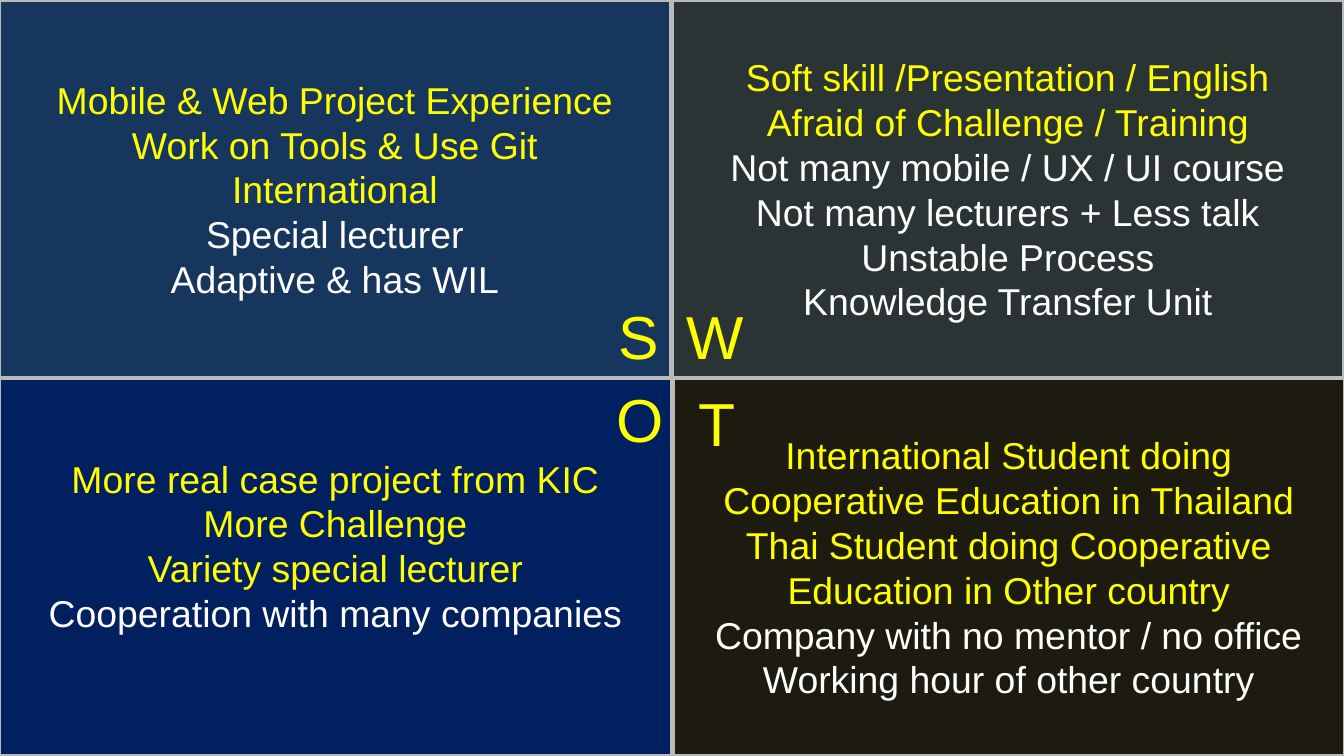
import pptx
import pptx.util
import pptx.dml.color
import pptx.enum.shapes
import pptx.enum.text

PX = 9144000 / 1344
WIDE, HIGH = 1344, 756
HALF_W, HALF_H = WIDE // 2, HIGH // 2
LINE = 43  # height of one body line


def emu(px):
    return pptx.util.Emu(round(px * PX))


def color(code):
    return pptx.dml.color.RGBColor.from_string(code)


class Board:
    font = "Arial"
    key, plain, edge = "FFFF00", "FFFFFF", "BABABA"
    body, big = 20, 32.5

    def __init__(self, deck):
        self.slide = deck.slides.add_slide(deck.slide_layouts[6])

    def add_text(self, par, text, size, code):
        run = par.add_run()
        run.text = text
        run.font.name = self.font
        run.font.size = pptx.util.Pt(size)
        run.font.color.rgb = color(code)

    def panel(self, left, top, wide, fill, keys, rest, lift=0):
        """Add a quadrant; lift is extra room below its text."""
        box = self.slide.shapes.add_shape(
            pptx.enum.shapes.MSO_SHAPE.RECTANGLE,
            emu(left), emu(top), emu(wide), emu(HALF_H))
        box.shadow.inherit = False
        box.fill.solid()
        box.fill.fore_color.rgb = color(fill)
        box.line.color.rgb = color(self.edge)
        box.line.width = pptx.util.Pt(2)
        frame = box.text_frame
        frame.word_wrap = True
        frame.vertical_anchor = pptx.enum.text.MSO_ANCHOR.MIDDLE
        frame.margin_bottom = pptx.util.Inches(0.05) + emu(lift)
        lines = [(t, self.key) for t in keys] + [(t, self.plain) for t in rest]
        for i, (text, code) in enumerate(lines):
            par = frame.add_paragraph() if i else frame.paragraphs[0]
            par.alignment = pptx.enum.text.PP_ALIGN.CENTER
            self.add_text(par, text, self.body, code)

    def letter(self, left, top, wide, text):
        box = self.slide.shapes.add_textbox(
            emu(left), emu(top), emu(wide), emu(87))
        frame = box.text_frame
        frame.word_wrap = True
        frame.auto_size = pptx.enum.text.MSO_AUTO_SIZE.SHAPE_TO_FIT_TEXT
        self.add_text(frame.paragraphs[0], text, self.big, self.key)


def main():
    deck = pptx.Presentation()
    deck.slide_width, deck.slide_height = emu(WIDE), emu(HIGH)
    board = Board(deck)

    # Strengths and weaknesses
    board.panel(-1, 0, HALF_W, "17365D",
                ["Mobile & Web Project Experience", "Work on Tools & Use Git",
                 "International"],
                ["Special lecturer", "Adaptive & has WIL"])
    board.panel(HALF_W, 0, HALF_W, "2B3434",
                ["Soft skill /Presentation / English",
                 "Afraid of Challenge / Training"],
                ["Not many mobile / UX / UI course",
                 "Not many lecturers + Less talk",
                 "Unstable Process", "Knowledge Transfer Unit"])

    # Opportunities and threats
    board.panel(-1, HALF_H, HALF_W + 1, "002060",
                ["More real case project from KIC", "More Challenge",
                 "Variety special lecturer"],
                ["Cooperation with many companies"], LINE)
    board.panel(HALF_W + 1, HALF_H, HALF_W, "1D1B10",
                ["International Student doing Cooperative Education in Thailand",
                 "Thai Student doing Cooperative Education in Other country"],
                ["Company with no mentor / no office",
                 "Working hour of other country"])

    # Letters around the centre
    for left, top, wide, text in [(605, 292, 55, "S"), (673, 292, 82, "W"),
                                  (603, 375, 67, "O"), (685, 379, 56, "T")]:
        board.letter(left, top, wide, text)

    deck.save("out.pptx")


if __name__ == "__main__":
    main()
